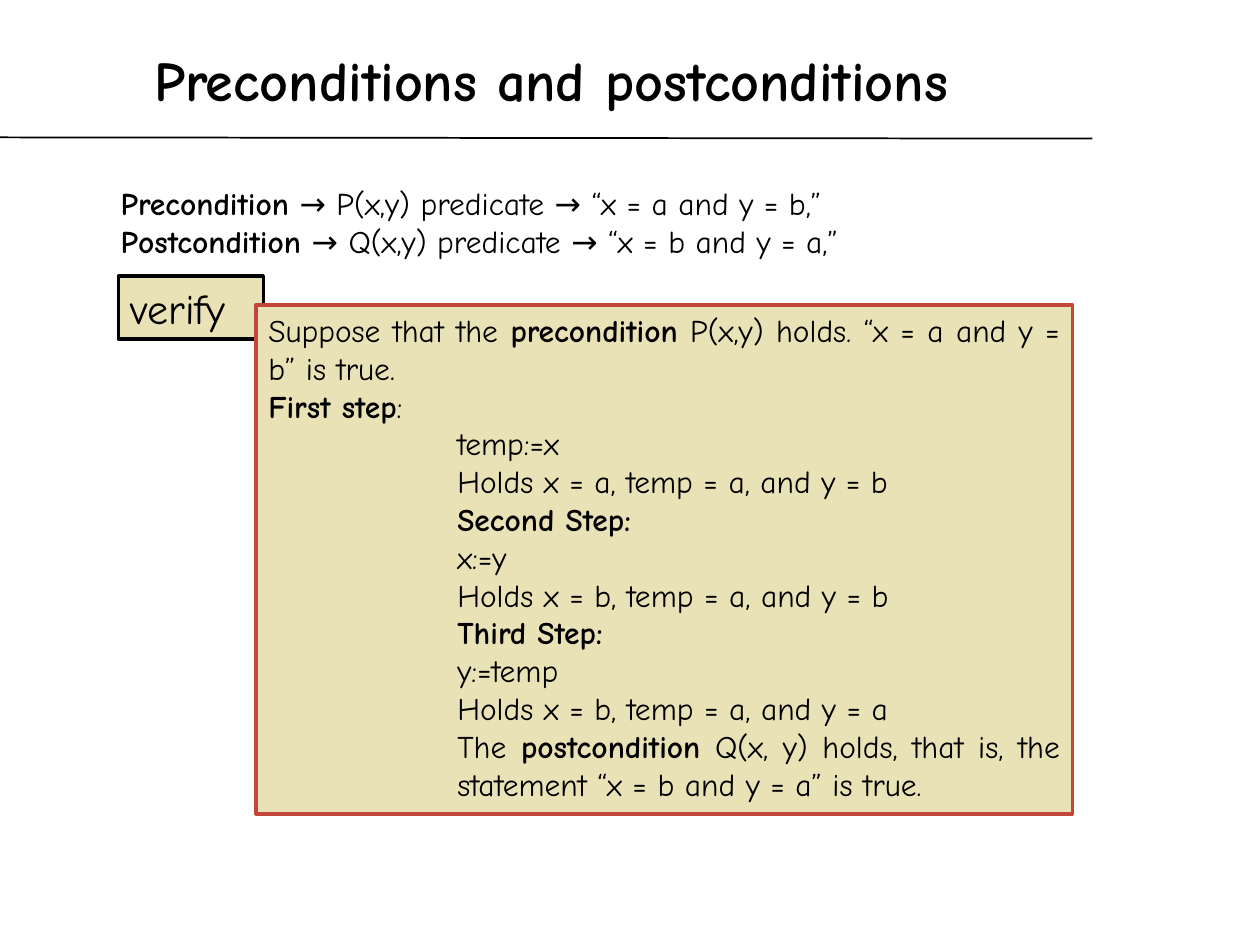
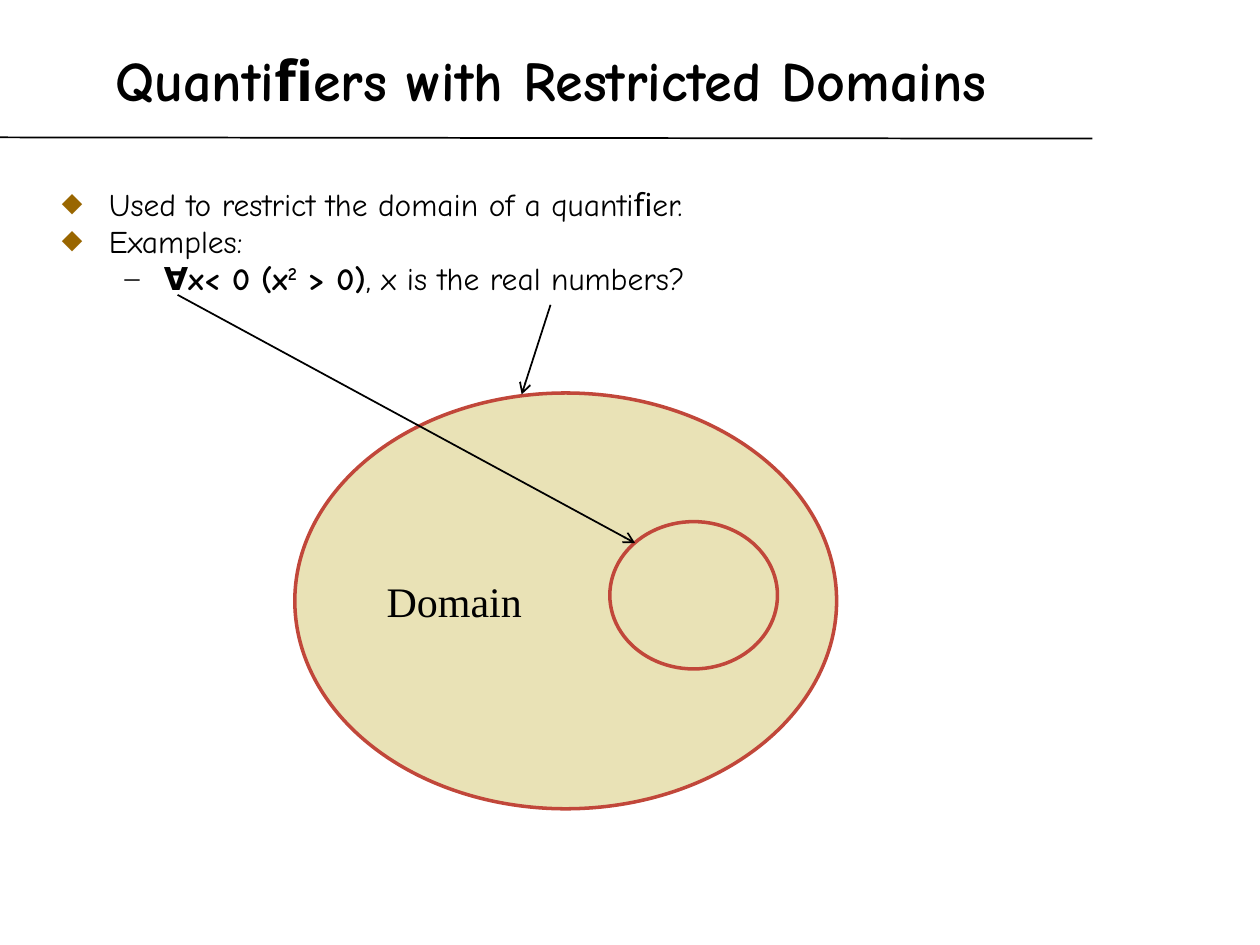
import pptx
import pptx.util
import pptx.dml.color
import pptx.enum.text
import pptx.enum.shapes
import pptx.oxml
import pptx.oxml.ns

Pt = pptx.util.Pt
ALIGN = pptx.enum.text.PP_ALIGN
ANCHOR = pptx.enum.text.MSO_ANCHOR
KIND = pptx.enum.shapes.MSO_SHAPE

INK, SAND, RED, GOLD = "000000", "E9E2B6", "C1473A", "996600"
COMIC, TIMES = "Comic Neue", "Times New Roman"
TITLE = (5.8, 11.5, 618.5, 67.7)
RULE = (0, 78.5, 624.2, 79.2)

# *bold* and ^superscript^ marks
RULES = [
    "*Precondition* → P(x,y) predicate → “x = a and y = b,”",
    "*Postcondition* → Q(x,y) predicate → “x = b and y = a,”",
]
INTRO = [
    "Suppose that the *precondition* P(x,y) holds. “x = a and y = b” is true.",
    "*First step*:",
]
STEPS = [
    "temp:=x",
    "Holds x = a, temp = a, and y = b",
    "*Second Step:*",
    "x:=y",
    "Holds x = b, temp = a, and y = b",
    "*Third Step:*",
    "y:=temp",
    "Holds x = b, temp = a, and y = a",
    "The *postcondition* Q(x, y) holds, that is, the statement “x = b and y = a” is true.",
]
POINTS = ["Used to restrict the domain of a quantiﬁer.", "Examples:"]
CASE = ["∀x< 0 (x^2^ > 0)"]
CASE = [f"*{CASE[0]}*, x is the real numbers?"]

PLAIN = {"left": 0, "hang": 0}
DEEP = {"left": 108, "hang": 0}
BULLET = {"left": 27, "hang": -27, "mark": "⬥", "tint": GOLD, "size": 100}
DASH = {"left": 58.5, "hang": -22.5, "mark": "–", "tint": INK, "size": 95}
TIGHT = {"line_spacing": 0.8, "space_before": Pt(3.6)}

ARROWS = [(101.5, 168.5, 362.9, 310.3), (314.6, 174.2, 298.1, 225.4)]


def color(code):
    return pptx.dml.color.RGBColor.from_string(code)


def apply(obj, form):
    for name, value in form.items():
        setattr(obj, name, value)


def node(tag, **attrs):
    item = pptx.oxml.parse_xml(f"<a:{tag} {pptx.oxml.ns.nsdecls('a')}/>")
    for name, value in attrs.items():
        item.set(name, str(value))
    return item


def indent(para, level):
    props = para._p.get_or_add_pPr()
    props.set("marL", str(Pt(level["left"])))
    props.set("indent", str(Pt(level["hang"])))
    if "mark" in level:
        tint = node("buClr")
        tint.append(node("srgbClr", val=level["tint"]))
        props.append(tint)
        props.append(node("buSzPct", val=level["size"] * 1000))
        props.append(node("buFont", typeface=TIMES))
        props.append(node("buChar", char=level["mark"]))


def write(frame, parts, size=18, font=COMIC, align=ALIGN.JUSTIFY,
          anchor=ANCHOR.TOP, wrap=True, form={}, bold=False):
    apply(frame, {"word_wrap": wrap, "vertical_anchor": anchor,
                  "auto_size": pptx.enum.text.MSO_AUTO_SIZE.NONE})
    rows = [(text, level) for texts, level in parts for text in texts]
    for num, (text, level) in enumerate(rows):
        para = frame.add_paragraph() if num else frame.paragraphs[0]
        apply(para, {"alignment": align, **form})
        indent(para, level)
        for odd, piece in enumerate(text.split("*")):
            for high, word in enumerate(piece.split("^")):
                if not word:
                    continue
                run = para.add_run()
                run.text = word
                apply(run.font, {"size": Pt(size), "name": font,
                                 "bold": bold or odd % 2 == 1})
                run.font.color.rgb = color(INK)
                if high % 2:
                    run._r.get_or_add_rPr().set("baseline", "30000")


def shape(slide, kind, box, edge):
    item = slide.shapes.add_shape(kind, *map(Pt, box))
    item.shadow.inherit = False
    item.fill.solid()
    item.fill.fore_color.rgb = color(SAND)
    item.line.color.rgb = color(edge)
    item.line.width = Pt(2)
    return item


def line(slide, ends, arrow=False):
    item = slide.shapes.add_connector(
        pptx.enum.shapes.MSO_CONNECTOR.STRAIGHT, *map(Pt, ends))
    item.line.color.rgb = color(INK)
    item.line.width = Pt(1)
    if arrow:
        item.line._get_or_add_ln().append(node("tailEnd", type="arrow"))
    item._element.spPr.append(node("effectLst"))


def textbox(slide, box, parts, **form):
    item = slide.shapes.add_textbox(*map(Pt, box))
    write(item.text_frame, parts, **form)


def start(deck, text):
    slide = deck.slides.add_slide(deck.slide_layouts[5])
    line(slide, RULE)
    title = slide.shapes.title
    apply(title, dict(zip(("left", "top", "width", "height"), map(Pt, TITLE))))
    write(title.text_frame, [([text], PLAIN)], size=32, bold=True,
          align=ALIGN.CENTER, anchor=ANCHOR.MIDDLE)
    return slide


def proof(deck):
    slide = start(deck, "Preconditions and postconditions")
    textbox(slide, (61.9, 101.5, 584.6, 51.1), [(RULES, PLAIN)])
    label = shape(slide, KIND.RECTANGLE, (67.7, 157.7, 82.8, 36), INK)
    write(label.text_frame, [(["verify"], PLAIN)], size=24, align=ALIGN.LEFT)
    panel = shape(slide, KIND.RECTANGLE, (146.2, 174.2, 466.6, 290.9), RED)
    write(panel.text_frame, [(INTRO, PLAIN), (STEPS, DEEP)])


def domain(deck):
    slide = start(deck, "Quantiﬁers with Restricted Domains")
    whole = shape(slide, KIND.OVAL, (168.5, 224.6, 309.6, 237.6), RED)
    write(whole.text_frame, [(["Domain"], PLAIN)], size=24, font=TIMES,
          anchor=ANCHOR.MIDDLE)
    textbox(slide, (28.1, 106.6, 669.6, 84.2),
            [(POINTS, BULLET), (CASE, DASH)], form=TIGHT)
    shape(slide, KIND.OVAL, (348.5, 298.1, 95.8, 84.2), RED)
    for ends in ARROWS:
        line(slide, ends, arrow=True)


def main():
    deck = pptx.Presentation()
    apply(deck, {"slide_width": Pt(720), "slide_height": Pt(540)})
    proof(deck)
    domain(deck)
    deck.save("out.pptx")


if __name__ == "__main__":
    main()
